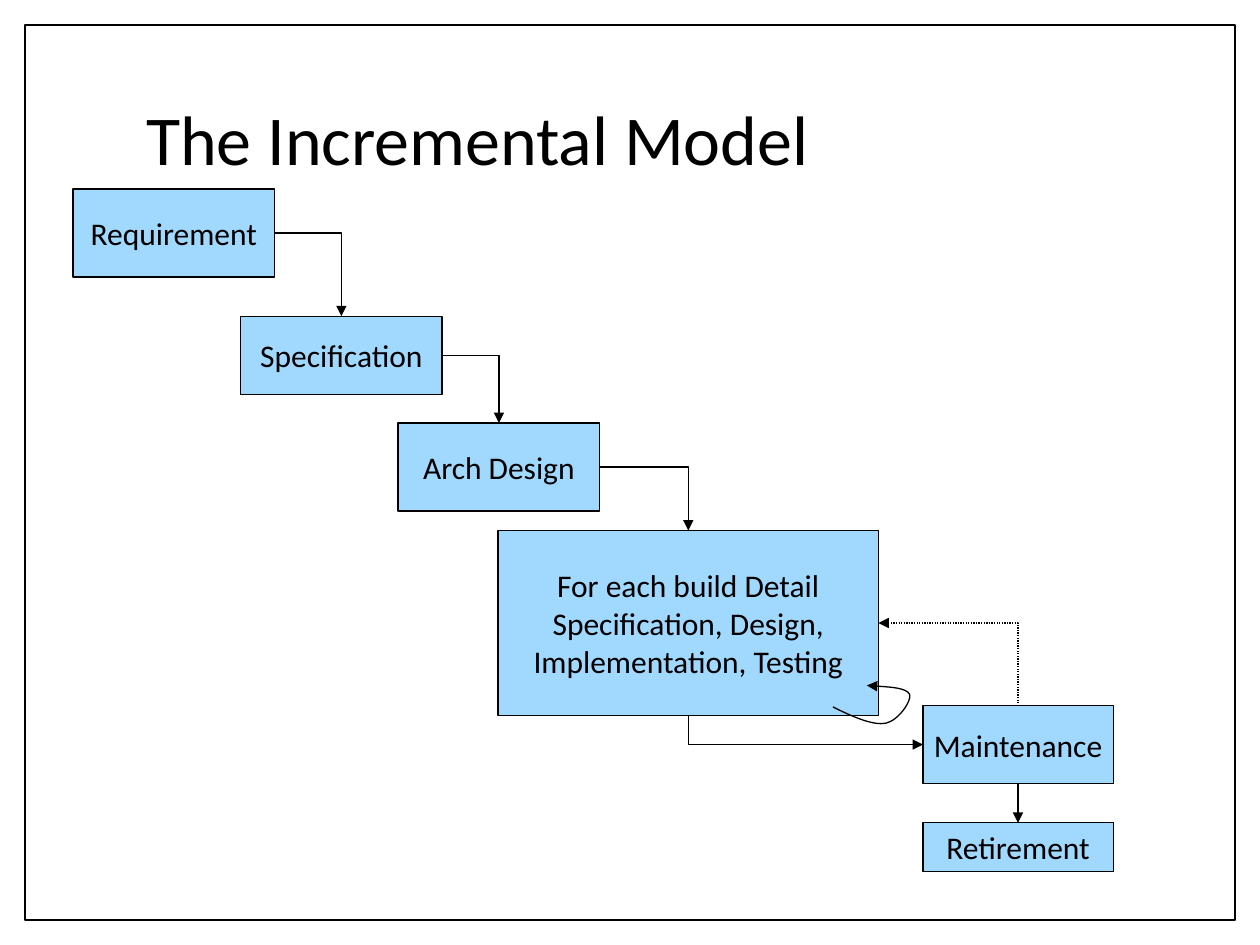
import pptx
import pptx.util
import pptx.dml.color
import pptx.enum.dml
import pptx.enum.shapes
import pptx.enum.text
import pptx.oxml
import pptx.oxml.ns

Pt = pptx.util.Pt
RECTANGLE = pptx.enum.shapes.MSO_SHAPE.RECTANGLE
TOP, LEFT, BOTTOM, RIGHT = range(4)  # connection sites of a rectangle
BLACK, WHITE, SKY = "000000", "FFFFFF", "A1D8FD"

# name: text, left, top, width, height, wrap
BOXES = {
    "requirement": ("Requirement", 41.8, 108, 115.2, 50.4, False),
    "specification": ("Specification", 137.5, 180.7, 115.2, 44.6, False),
    "design": ("Arch Design", 227.5, 241.7, 115.2, 50.4, False),
    "build": ("For each build Detail Specification, Design, "
              "Implementation, Testing", 284.6, 303.1, 217.4, 105.8, True),
    "maintenance": ("Maintenance", 527.4, 403.2, 108.7, 44.6, False),
    "retirement": ("Retirement", 527.4, 470.2, 108.7, 28, False),
}

# start box, its site, end box, its site, arrowhead end, dotted
# An elbow leaves its start sideways, so some carry the arrow at the start.
LINKS = [
    ("requirement", RIGHT, "specification", TOP, "tailEnd", False),
    ("specification", RIGHT, "design", TOP, "tailEnd", False),
    ("design", RIGHT, "build", TOP, "tailEnd", False),
    ("maintenance", LEFT, "build", BOTTOM, "headEnd", False),
    ("maintenance", BOTTOM, "retirement", TOP, "tailEnd", False),
    ("build", RIGHT, "maintenance", TOP, "headEnd", True),
]

# Start point, then two control points and an end point per curve
LOOP = [(476, 404), (487.4, 409.7), (499, 414.7), (506.2, 413.3),
        (513.4, 411.8), (521.3, 400.3), (519.8, 396.7),
        (517.7, 393.1), (506.2, 392.4), (495.4, 391.7)]


def color(value):
    return pptx.dml.color.RGBColor.from_string(value)


def apply_format(target, values):
    for name, value in values.items():
        setattr(target, name, value)


def format_text(shape, text, size, frame_values, paragraph_values):
    frame = shape.text_frame
    frame.text = text
    apply_format(frame, frame_values)
    paragraph = frame.paragraphs[0]
    apply_format(paragraph, paragraph_values)
    apply_format(paragraph.font, {"name": "Calibri", "size": Pt(size)})
    paragraph.font.color.rgb = color(BLACK)


def format_line(line, width=0.75):
    line.color.rgb = color(BLACK)
    line.width = Pt(width)


def add_arrowhead(shape, end):
    head = pptx.oxml.parse_xml(
        f'<a:{end} {pptx.oxml.ns.nsdecls("a")} type="triangle"/>')
    shape.line._get_or_add_ln().append(head)


def add_box(slide, left, top, width, height, fill, line_width=0.75):
    shape = slide.shapes.add_shape(
        RECTANGLE, Pt(left), Pt(top), Pt(width), Pt(height))
    shape.shadow.inherit = False
    shape.fill.solid()
    shape.fill.fore_color.rgb = color(fill)
    format_line(shape.line, line_width)
    return shape


def add_frame(slide):
    frame = add_box(slide, 14.4, 14.4, 691.2, 511.2, WHITE, 1)
    slide.shapes._spTree.insert(2, frame._element)  # behind the title


def add_title(slide, text):
    title = slide.shapes.title
    apply_format(title, {"left": Pt(76.3), "top": Pt(28.1),
                         "width": Pt(583.2), "height": Pt(106.6)})
    format_text(title, text, 40,
                {"vertical_anchor": pptx.enum.text.MSO_ANCHOR.MIDDLE,
                 "auto_size": pptx.enum.text.MSO_AUTO_SIZE.NONE},
                {"alignment": pptx.enum.text.PP_ALIGN.LEFT,
                 "line_spacing": 0.9})


def add_step(slide, text, left, top, width, height, wrap):
    shape = add_box(slide, left, top, width, height, SKY)
    format_text(shape, text, 18,
                {"vertical_anchor": pptx.enum.text.MSO_ANCHOR.MIDDLE,
                 "word_wrap": wrap},
                {"alignment": pptx.enum.text.PP_ALIGN.CENTER})
    return shape


def add_link(slide, start, start_site, end, end_site, arrow_end, dotted):
    kinds = pptx.enum.shapes.MSO_CONNECTOR
    straight = (start_site, end_site) == (BOTTOM, TOP)
    connector = slide.shapes.add_connector(
        kinds.STRAIGHT if straight else kinds.ELBOW, 0, 0, 0, 0)
    connector.begin_connect(start, start_site)
    connector.end_connect(end, end_site)
    properties = connector._element.spPr
    if not straight:  # one bend only
        properties.find(pptx.oxml.ns.qn("a:prstGeom")).set(
            "prst", "bentConnector2")
    format_line(connector.line)
    if dotted:
        connector.line.dash_style = pptx.enum.dml.MSO_LINE.ROUND_DOT
    add_arrowhead(connector, arrow_end)
    properties.append(pptx.oxml.parse_xml(
        f'<a:effectLst {pptx.oxml.ns.nsdecls("a")}/>'))


def add_curve(slide, points):
    (x, y), *others = [(Pt(x), Pt(y)) for x, y in points]
    builder = slide.shapes.build_freeform(x, y)
    builder.add_line_segments(others, close=False)
    shape = builder.convert_to_shape()
    shape.shadow.inherit = False
    shape.fill.background()
    format_line(shape.line)
    add_arrowhead(shape, "tailEnd")
    # Join every three straight segments into one Bezier curve
    segments = list(shape._element.iter(pptx.oxml.ns.qn("a:lnTo")))
    for first in range(0, len(segments), 3):
        curve = pptx.oxml.parse_xml(
            f'<a:cubicBezTo {pptx.oxml.ns.nsdecls("a")}/>')
        segments[first].addprevious(curve)
        for segment in segments[first:first + 3]:
            curve.append(segment[0])
            segment.getparent().remove(segment)


def main():
    presentation = pptx.Presentation()
    presentation.slide_width, presentation.slide_height = Pt(720), Pt(540)
    slide = presentation.slides.add_slide(presentation.slide_layouts[5])

    # Frame and title
    add_frame(slide)
    add_title(slide, "The Incremental Model")

    # Steps and the arrows between them
    steps = {name: add_step(slide, *box) for name, box in BOXES.items()}
    for start, start_site, end, end_site, arrow_end, dotted in LINKS:
        add_link(slide, steps[start], start_site, steps[end], end_site,
                 arrow_end, dotted)

    # Repeat loop of the build step
    add_curve(slide, LOOP)
    presentation.save("out.pptx")


if __name__ == "__main__":
    main()
